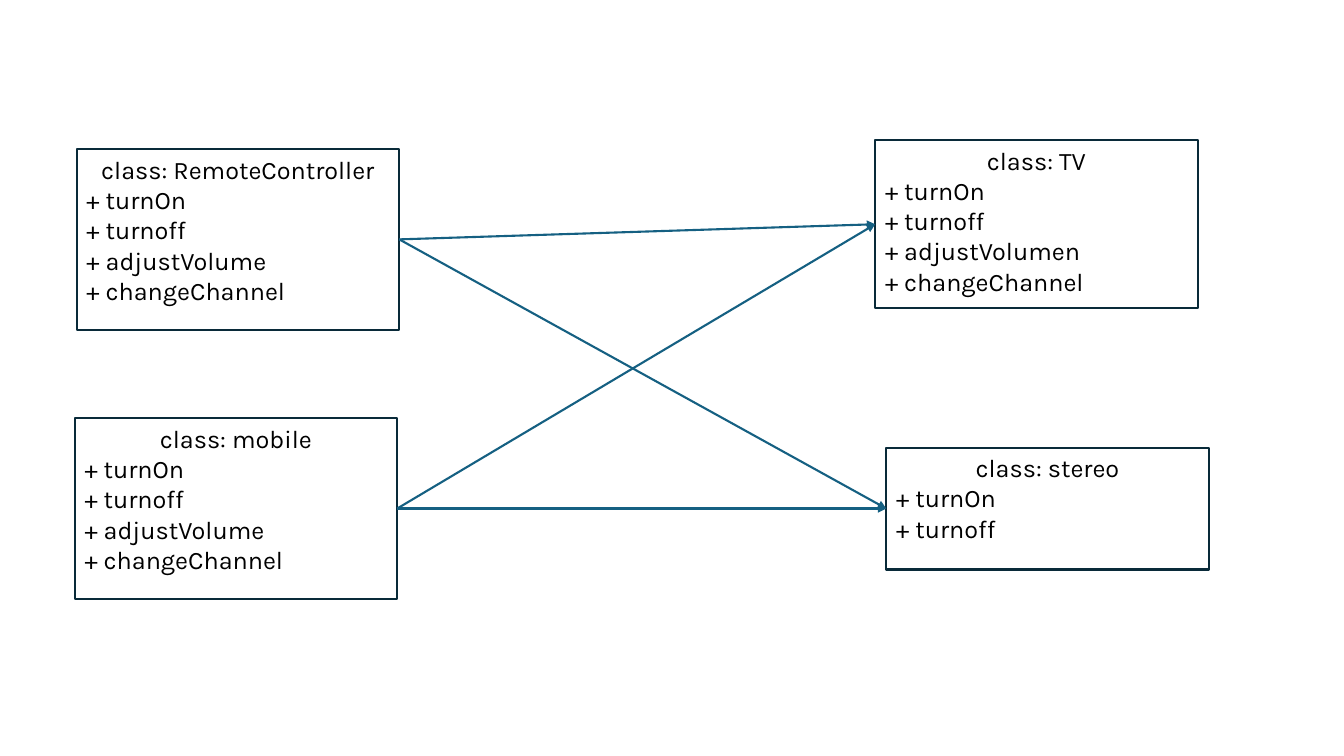
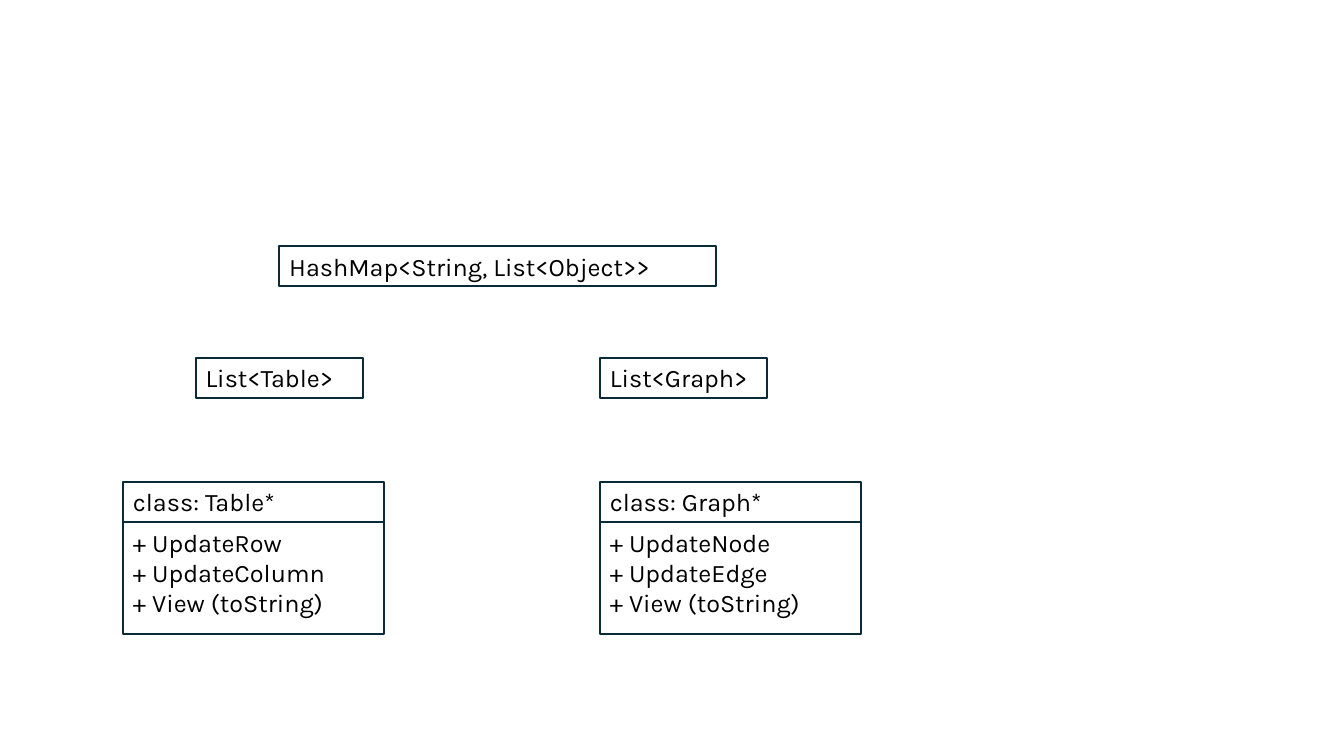
from dataclasses import dataclass

from lxml import etree
from pptx import Presentation
from pptx.dml.color import RGBColor
from pptx.enum.shapes import MSO_CONNECTOR, MSO_SHAPE
from pptx.enum.text import MSO_ANCHOR, PP_ALIGN
from pptx.oxml.ns import qn
from pptx.util import Pt

RECT = MSO_SHAPE.RECTANGLE
LINE = MSO_CONNECTOR.STRAIGHT
TOP = MSO_ANCHOR.TOP
LEFT, MID = PP_ALIGN.LEFT, PP_ALIGN.CENTER
PX = 9144
WEST, EAST = 1, 3
BLANK = 6


@dataclass(frozen=True)
class Theme:
    """Hold the colours, font and sizes of the deck."""
    ink: RGBColor = RGBColor(0x00, 0x00, 0x00)
    edge: RGBColor = RGBColor(0x09, 0x2A, 0x39)
    link: RGBColor = RGBColor(0x15, 0x60, 0x82)
    font: str = "Karla"
    size: int = 18
    rule: float = 1.5


THEME = Theme()


def add_box(slide, box, lines, head=LEFT):
    """Draw an outlined box of text lines, the first aligned by head."""
    shape = slide.shapes.add_shape(RECT, *(n * PX for n in box))
    shape.shadow.inherit = False
    shape.fill.background()
    shape.line.color.rgb = THEME.edge
    shape.line.width = Pt(THEME.rule)
    frame = shape.text_frame
    frame.word_wrap = True
    frame.vertical_anchor = TOP
    frame.text = "\n".join(lines)
    for i, para in enumerate(frame.paragraphs):
        para.alignment = LEFT if i else head
        for run in para.runs:
            run.font.name = THEME.font
            run.font.size = Pt(THEME.size)
            run.font.color.rgb = THEME.ink
    return shape


def add_link(slide, start, end):
    """Draw an arrow from the right of start to the left of end."""
    link = slide.shapes.add_connector(LINE, 0, 0, 0, 0)
    link.begin_connect(start, EAST)
    link.end_connect(end, WEST)
    link.line.color.rgb = THEME.link
    link.line.width = Pt(THEME.rule)
    stroke = link.line._get_or_add_ln()
    etree.SubElement(stroke, qn("a:tailEnd"), type="triangle")
    etree.SubElement(link._element.spPr, qn("a:effectLst"))


def add_class(slide, box, name, verbs):
    """Draw a class box with a centred name above its methods."""
    lines = [f"class: {name}"] + [f"+ {verb}" for verb in verbs]
    return add_box(slide, box, lines, MID)


def add_split(slide, box, name, verbs, bar):
    """Draw a class whose name sits in a bar above its methods."""
    x, y, w, h = box
    add_box(slide, (x, y + bar, w, h - bar), [f"+ {verb}" for verb in verbs])
    add_box(slide, (x, y, w, bar), [f"class: {name}"])


def draw_remote(slide):
    """Build the slide of controllers linked to devices."""
    power = ["turnOn", "turnoff"]
    full = power + ["adjustVolume", "changeChannel"]
    wide = 320
    users = [
        add_class(slide, (76, 148, wide, 179), "RemoteController", full),
        add_class(slide, (74, 415, wide, 179), "mobile", full),
    ]
    tools = [
        add_class(slide, (868, 139, wide, 167), "TV",
                  power + ["adjustVolumen", "changeChannel"]),
        add_class(slide, (879, 444, wide, 121), "stereo", power),
    ]
    for user in users:
        for tool in tools:
            add_link(slide, user, tool)


def draw_map(slide):
    """Build the slide of the map, its lists and their classes."""
    bar = 40
    add_box(slide, (277, 244, 433, bar), ["HashMap<String, List<Object>>"])
    kinds = [
        ("Table", 194, 122, ["UpdateRow", "UpdateColumn"]),
        ("Graph", 595, 595, ["UpdateNode", "UpdateEdge"]),
    ]
    for name, list_x, x, verbs in kinds:
        add_box(slide, (list_x, 355, 166, bar), [f"List<{name}>"])
        add_split(slide, (x, 478, 259, 151), f"{name}*",
                  verbs + ["View (toString)"], bar)


def main():
    """Build and save the deck."""
    deck = Presentation()
    deck.slide_width, deck.slide_height = 1333 * PX, 750 * PX
    for draw in (draw_remote, draw_map):
        draw(deck.slides.add_slide(deck.slide_layouts[BLANK]))
    deck.save("out.pptx")


if __name__ == "__main__":
    main()
